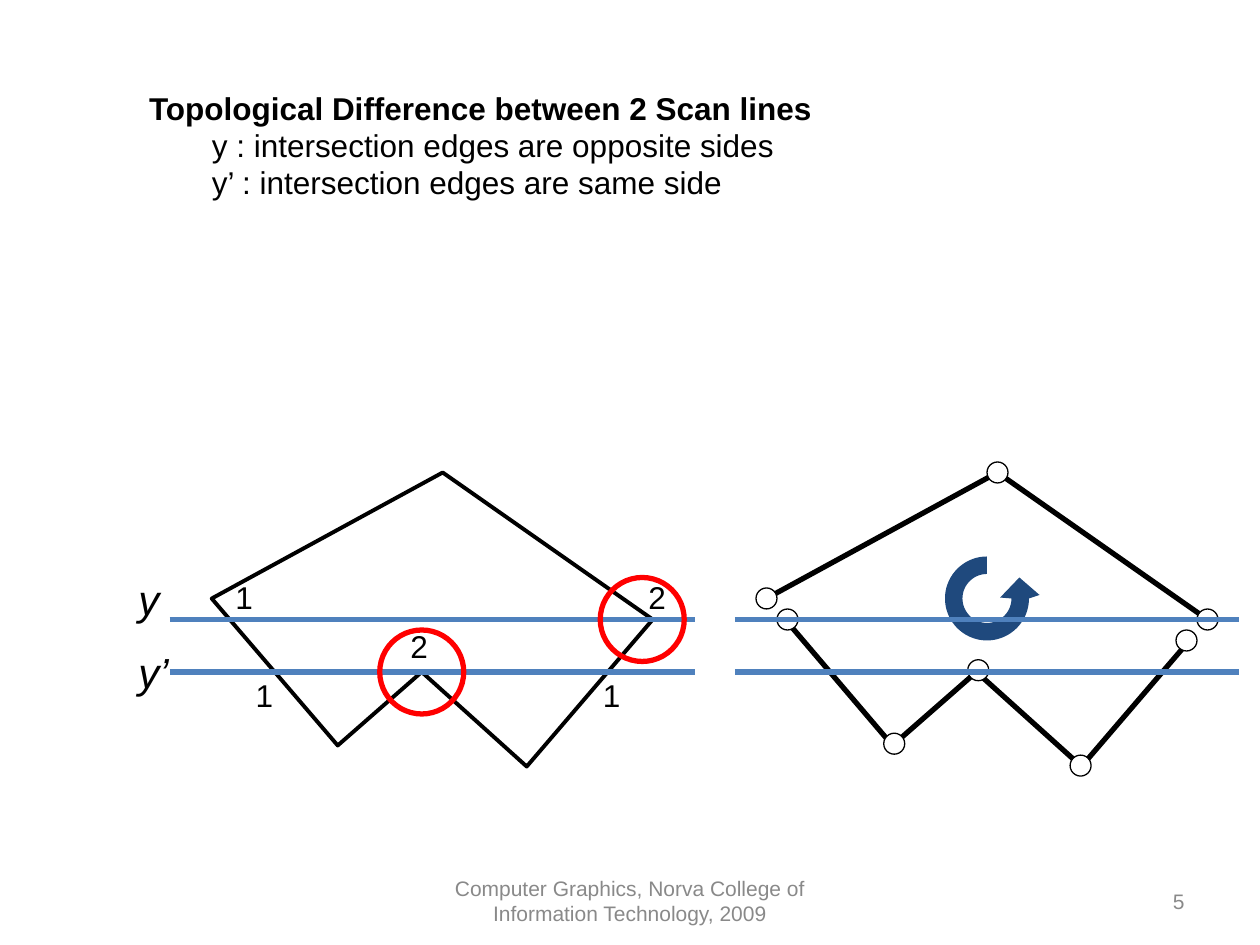
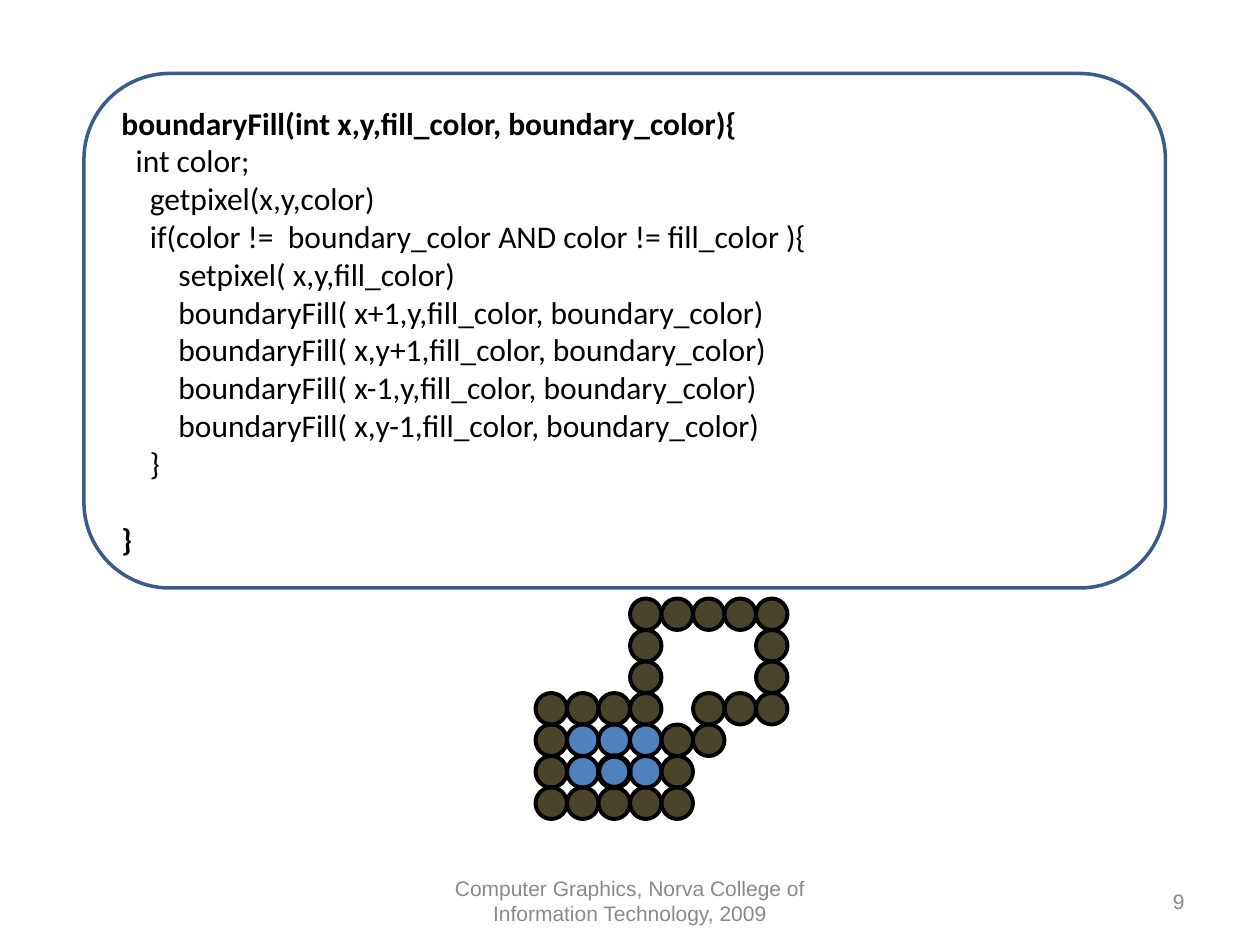
from math import cos, radians, sin

from lxml.etree import SubElement
from pptx import Presentation
from pptx.dml.color import RGBColor
from pptx.enum.shapes import MSO_CONNECTOR, MSO_SHAPE
from pptx.enum.text import MSO_ANCHOR, MSO_AUTO_SIZE, PP_ALIGN
from pptx.oxml.ns import qn
from pptx.util import Pt

# Shared style
BLACK, WHITE, GREY = "000000", "FFFFFF", "898989"
BLUE, NAVY, EDGE = "4F81BD", "1F497D", "385D8A"
RED, BROWN = "FF0000", "4A452A"
FONT, CODE = "Arial", "Calibri"
FOOTER = "Computer Graphics, Norva College of Information Technology, 2009"

# Scan lines and polygon corners
SCANS = (354, 384)
OUTLINE = [(121, 342), (193, 426), (241, 384), (301, 438), (373, 354), (253, 270)]
UPPER = [(690, 354), (570, 270), (438, 342)]
LOWER = [(447, 352), (510, 426), (558, 384), (618, 438), (678, 368)]
NODES = [(450, 354), (678, 366), (690, 354), (438, 342),
         (570, 270), (511, 425), (559, 383), (617.5, 437.5)]
LABELS = [("1", 139, 383), ("2", 227.5, 355), ("1", 337.5, 383),
          ("1", 127.5, 327), ("2", 363.5, 327)]

# Code lines as (indent steps, text)
LINES = [
    (0, "boundaryFill(int x,y,fill_color, boundary_color){"),
    (1, "int color;"),
    (2, "getpixel(x,y,color)"),
    (2, "if(color !=  boundary_color AND color != fill_color ){"),
    (4, "setpixel( x,y,fill_color)"),
    (4, "boundaryFill( x+1,y,fill_color, boundary_color)"),
    (4, "boundaryFill( x,y+1,fill_color, boundary_color)"),
    (4, "boundaryFill( x-1,y,fill_color, boundary_color)"),
    (4, "boundaryFill( x,y-1,fill_color, boundary_color)"),
    (2, "}"),
    (0, "}"),
]

# Pixels: # is boundary, o is filled
GRID = ["...#####",
        "...#...#",
        "...#...#",
        "####.###",
        "#ooo##",
        "#ooo#",
        "#####"]
CELL = 18


def color(code):
    return RGBColor.from_string(code)


def paint(shape, fill=None, line=None, width=1):
    shape.shadow.inherit = False
    if fill:
        shape.fill.solid()
        shape.fill.fore_color.rgb = color(fill)
    else:
        shape.fill.background()
    if line:
        shape.line.color.rgb = color(line)
        shape.line.width = Pt(width)
    else:
        shape.line.fill.background()


def style(para, size=18, name=FONT, ink=BLACK, bold=False, italic=False,
          align=PP_ALIGN.LEFT, indent=0):
    font = para.font
    font.size, font.name, font.bold, font.italic = Pt(size), name, bold, italic
    font.color.rgb = color(ink)
    para.alignment = align
    if indent:
        para._p.get_or_add_pPr().set("marL", str(Pt(indent)))


def write(frame, lines, anchor=MSO_ANCHOR.TOP, wrap=True, **look):
    frame.word_wrap = wrap
    frame.auto_size = MSO_AUTO_SIZE.NONE
    frame.vertical_anchor = anchor
    frame.text = "\n".join(lines)
    for para in frame.paragraphs:
        style(para, **look)


def label(slide, box, lines, **look):
    shape = slide.shapes.add_textbox(*map(Pt, box))
    write(shape.text_frame, lines, **look)


def heading(slide, box, text):
    title = slide.shapes.title
    title.left, title.top, title.width, title.height = map(Pt, box)
    write(title.text_frame, [text], bold=True)


def footer(slide, number):
    look = dict(size=12, ink=GREY, anchor=MSO_ANCHOR.MIDDLE)
    label(slide, (246, 500.5, 228, 28.75), [FOOTER], align=PP_ALIGN.CENTER, **look)
    label(slide, (516, 500.5, 168, 28.75), [str(number)], align=PP_ALIGN.RIGHT, **look)


def disc(slide, x, y, size, **look):
    """Circle centred on x, y."""
    shape = slide.shapes.add_shape(
        MSO_SHAPE.OVAL, Pt(x - size / 2), Pt(y - size / 2), Pt(size), Pt(size))
    paint(shape, **look)


def trace(slide, points, close=False, **look):
    first, *rest = [(Pt(x), Pt(y)) for x, y in points]
    pen = slide.shapes.build_freeform(*first)
    pen.add_line_segments(rest, close=close)
    paint(pen.convert_to_shape(), **look)


def scans(slide, left, right):
    for y in SCANS[::-1]:
        line = slide.shapes.add_connector(
            MSO_CONNECTOR.STRAIGHT, Pt(left), Pt(y), Pt(right), Pt(y))
        line.line.color.rgb = color(BLUE)
        line.line.width = Pt(3)
        SubElement(line._element.spPr, qn("a:effectLst"))


def arc(x, y, radius, angles):
    return [(x + radius * cos(radians(a)), y - radius * sin(radians(a)))
            for a in angles]


def swirl(slide, x, y):
    """Three-quarter ring that ends in an arrowhead."""
    head = [(x + 30, y - 2), (x + 18.5, y - 12), (x + 7.5, y - 0.5)]
    ring = (arc(x, y, 24, range(90, 361, 5)) + head
            + arc(x, y, 14, range(360, 89, -5)))
    trace(slide, ring, close=True, fill=NAVY)


def topology(slide):
    heading(slide, (78, 47.5, 570, 24.3), "Topological Difference between 2 Scan lines")
    label(slide, (78, 68.2, 570, 48.6),
          ["y : intersection edges are opposite sides",
           "y’ : intersection edges are same side"], indent=36)
    footer(slide, 5)

    # Left: polygon with crossing counts
    trace(slide, OUTLINE, close=True, line=BLACK, width=2.25)
    scans(slide, 97, 397)
    for name, top in (("y", 324), ("y’", 366)):
        label(slide, (72, top, 33, 36), [name], size=24, italic=True,
              anchor=MSO_ANCHOR.MIDDLE, wrap=False)
    for x, y in ((241, 384), (367, 354)):
        disc(slide, x, y, 48, line=RED, width=3)
    for text, left, top in LABELS:
        label(slide, (left, top, 24.5, 31), [text], wrap=False)

    # Right: polygon split into chains
    swirl(slide, 564, 342)
    for chain in (LOWER, UPPER):
        trace(slide, chain, line=BLACK, width=3)
    for x, y in NODES:
        disc(slide, x, y, 12, fill=WHITE, line=BLACK, width=0.75)
    scans(slide, 420, 708)


def filling(slide):
    # Code panel
    panel = slide.shapes.add_shape(
        MSO_SHAPE.ROUNDED_RECTANGLE, Pt(48), Pt(42), Pt(618), Pt(294))
    paint(panel, fill=WHITE, line=EDGE, width=2)
    frame = panel.text_frame
    write(frame, [text for _, text in LINES], anchor=MSO_ANCHOR.MIDDLE)
    for para, (step, _) in zip(frame.paragraphs, LINES):
        style(para, name=CODE, bold=step == 0, indent=step * 8.14)
    frame.paragraphs[-1].space_before = Pt(22)
    footer(slide, 9)

    # Pixel figure
    fills = {"#": BROWN, "o": BLUE}
    left, top = 315, 351
    for row, marks in enumerate(GRID):
        for col, mark in enumerate(marks):
            if mark in fills:
                disc(slide, left + col * CELL, top + row * CELL, CELL,
                     fill=fills[mark], line=BLACK, width=2.25)
    # Seed pixel
    disc(slide, left + 2 * CELL, top + 5 * CELL, CELL, line=BLACK, width=3)


def main():
    deck = Presentation()
    deck.slide_width, deck.slide_height = Pt(720), Pt(540)
    plain, titled = deck.slide_layouts[6], deck.slide_layouts[5]
    topology(deck.slides.add_slide(titled))
    filling(deck.slides.add_slide(plain))
    deck.save("out.pptx")


if __name__ == "__main__":
    main()
